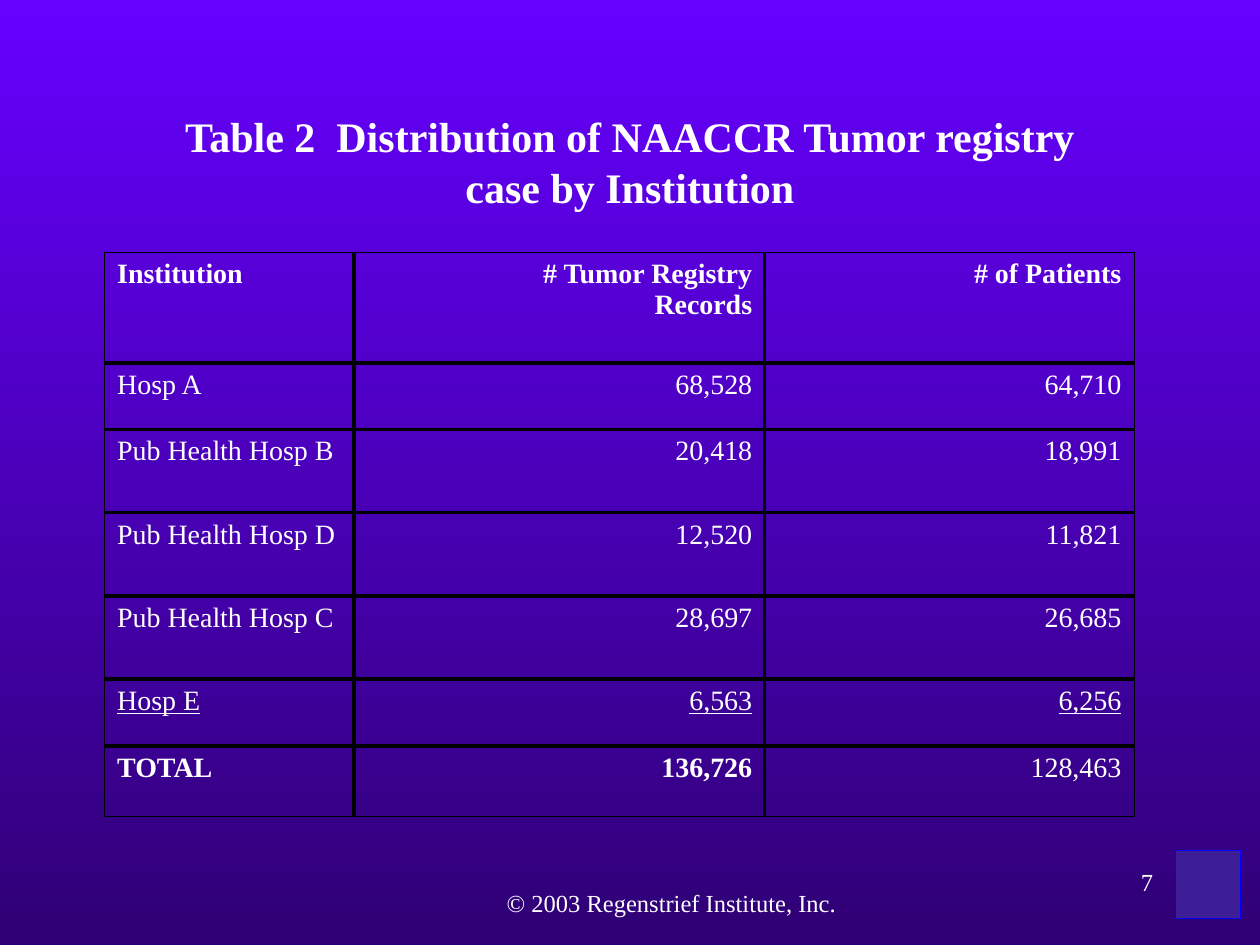
import dataclasses

import lxml.etree
import pptx
import pptx.dml.color
import pptx.enum.shapes
import pptx.enum.text
import pptx.oxml.ns
import pptx.util

Inches = pptx.util.Inches
Pt = pptx.util.Pt
RGBColor = pptx.dml.color.RGBColor
Align = pptx.enum.text.PP_ALIGN
Anchor = pptx.enum.text.MSO_ANCHOR


@dataclasses.dataclass(frozen=True)
class Theme:
    font: str = "Times New Roman"
    text: str = "FFFFFF"
    border: str = "000000"
    background_top: str = "6600FF"
    background_bottom: str = "2F0075"
    emblem: str = "3D1E96"
    emblem_line: str = "0000FF"
    title_size: int = 24
    table_size: int = 16
    footer_size: int = 14
    outer_border: float = 0.45
    inner_border: float = 2.21


theme = Theme()


def write_text(frame, text, size, align=Align.LEFT, bold=False, underline=False, anchor=Anchor.TOP):
    frame.word_wrap = True
    frame.vertical_anchor = anchor
    frame.text = text
    for paragraph in frame.paragraphs:
        paragraph.alignment = align
        for run in paragraph.runs:
            run.font.name = theme.font
            run.font.size = Pt(size)
            run.font.bold = bold
            run.font.underline = underline
            run.font.color.rgb = RGBColor.from_string(theme.text)


def add_border(cell, side, width):
    qn = pptx.oxml.ns.qn
    properties = cell._tc.get_or_add_tcPr()
    line = lxml.etree.SubElement(properties, qn(f"a:ln{side}"), w=str(Pt(width)))
    fill = lxml.etree.SubElement(line, qn("a:solidFill"))
    lxml.etree.SubElement(fill, qn("a:srgbClr"), val=theme.border)


presentation = pptx.Presentation()
presentation.slide_width = Inches(10)
presentation.slide_height = Inches(7.5)
slide = presentation.slides.add_slide(presentation.slide_layouts[6])

background = slide.background.fill
background.gradient()
background.gradient_angle = 270
for stop, color in zip(background.gradient_stops, (theme.background_top, theme.background_bottom)):
    stop.color.rgb = RGBColor.from_string(color)

emblem = slide.shapes.add_shape(
    pptx.enum.shapes.MSO_SHAPE.RECTANGLE, Inches(9.33), Inches(6.75), Inches(0.52), Inches(0.54)
)
emblem.shadow.inherit = False
emblem.fill.solid()
emblem.fill.fore_color.rgb = RGBColor.from_string(theme.emblem)
emblem.line.color.rgb = RGBColor.from_string(theme.emblem_line)
emblem.line.width = Pt(1)

title = slide.shapes.add_textbox(Inches(1.17), Inches(0.83), Inches(7.66), Inches(0.9))
write_text(
    title.text_frame,
    "Table 2  Distribution of NAACCR Tumor registry case by Institution",
    size=theme.title_size,
    align=Align.CENTER,
    bold=True,
    anchor=Anchor.MIDDLE,
)

rows = [
    ("Institution", "# Tumor Registry\nRecords", "# of Patients"),
    ("Hosp A", "68,528", "64,710"),
    ("Pub Health Hosp B", "20,418", "18,991"),
    ("Pub Health Hosp D", "12,520", "11,821"),
    ("Pub Health Hosp C", "28,697", "26,685"),
    ("Hosp E", "6,563", "6,256"),
    ("TOTAL", "136,726", "128,463"),
]
column_widths = [1.98, 3.26, 2.93]
row_heights = [0.88, 0.53, 0.66, 0.66, 0.66, 0.53, 0.56]
last_row = len(rows) - 1
last_column = len(column_widths) - 1

table = slide.shapes.add_table(
    len(rows), len(column_widths), Inches(0.83), Inches(2), Inches(sum(column_widths)), Inches(sum(row_heights))
).table
table.first_row = False
table.horz_banding = False
for column, width in zip(table.columns, column_widths):
    column.width = Inches(width)
for row, height in zip(table.rows, row_heights):
    row.height = Inches(height)

for row_index, values in enumerate(rows):
    for column_index, value in enumerate(values):
        cell = table.cell(row_index, column_index)
        outer_sides = {
            "L": column_index == 0,
            "R": column_index == last_column,
            "T": row_index == 0,
            "B": row_index == last_row,
        }
        for side, is_outer in outer_sides.items():
            add_border(cell, side, theme.outer_border if is_outer else theme.inner_border)
        cell.fill.background()
        write_text(
            cell.text_frame,
            value,
            size=theme.table_size,
            align=Align.LEFT if column_index == 0 else Align.RIGHT,
            bold=row_index == 0 or (row_index == last_row and column_index < last_column),
            underline=row_index == last_row - 1,
        )

copyright_box = slide.shapes.add_textbox(Inches(3.08), Inches(7), Inches(4.5), Inches(0.34))
write_text(
    copyright_box.text_frame,
    "© 2003 Regenstrief Institute, Inc.",
    size=theme.footer_size,
    align=Align.CENTER,
)

page_number = slide.shapes.add_textbox(Inches(7.17), Inches(6.83), Inches(2.08), Inches(0.5))
write_text(page_number.text_frame, "7", size=theme.footer_size, align=Align.RIGHT)

presentation.save("out.pptx")
